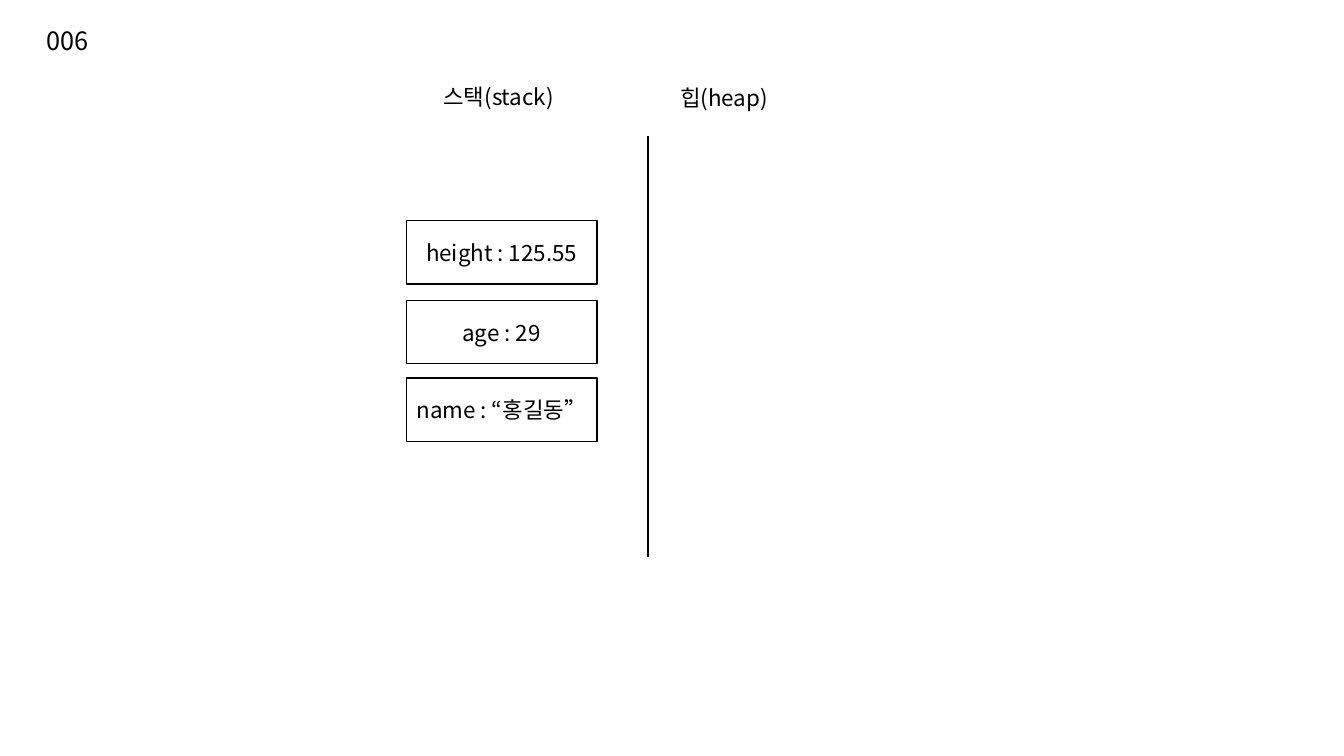
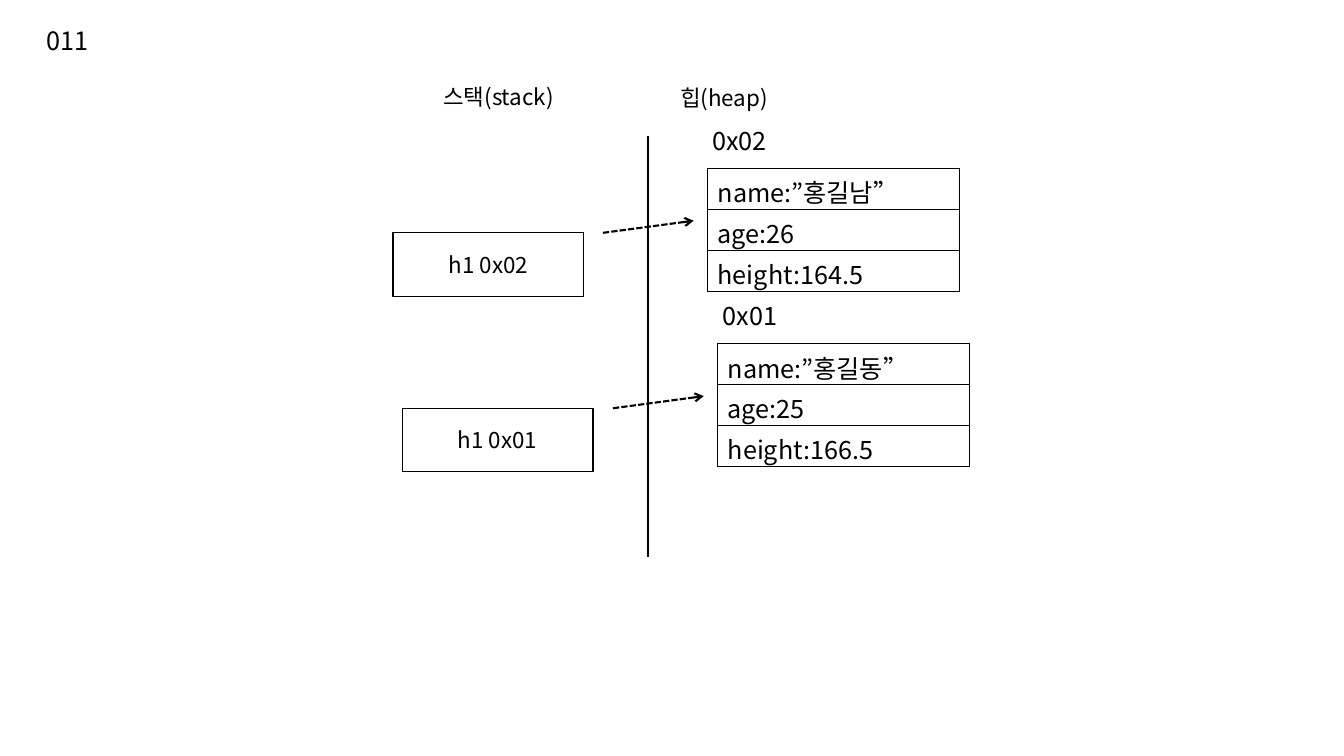
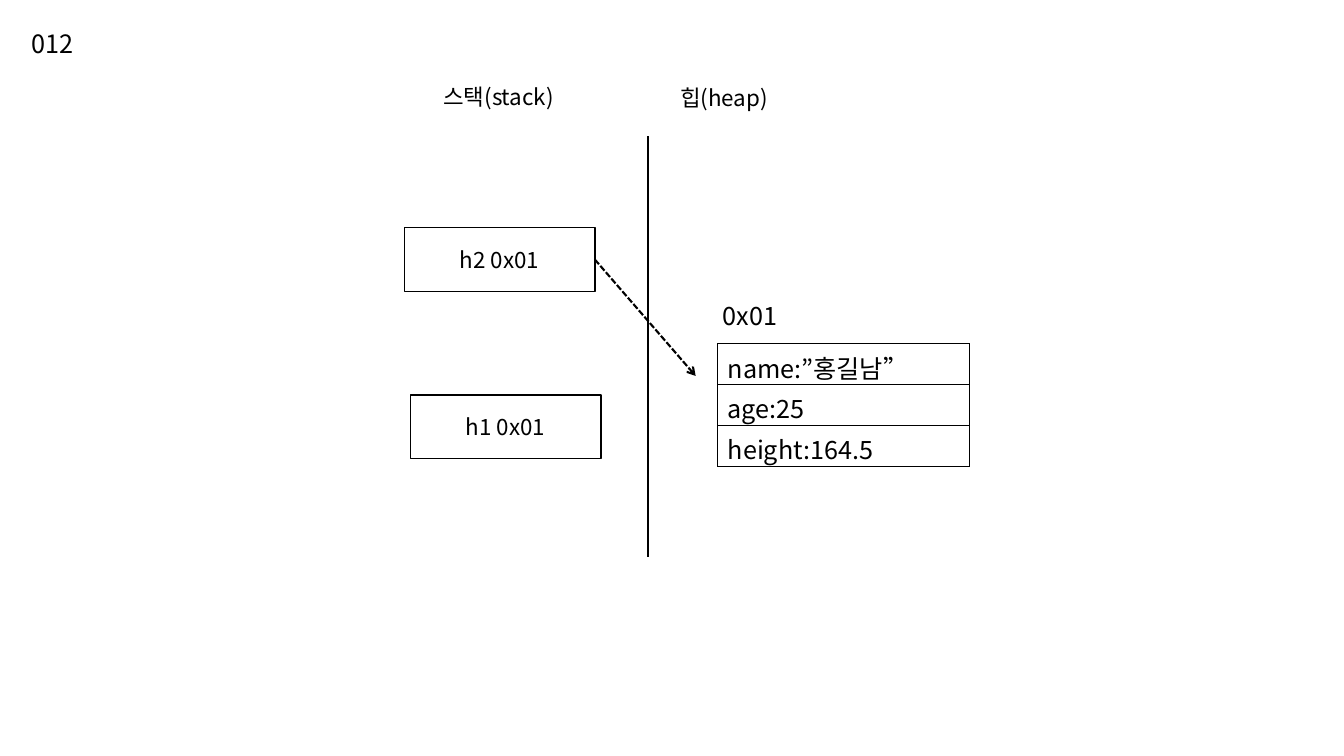
from pptx import Presentation
from pptx.dml.color import RGBColor
from pptx.enum.dml import MSO_LINE_DASH_STYLE as Dash
from pptx.enum.shapes import MSO_CONNECTOR as Connector, MSO_SHAPE as Shape
from pptx.enum.text import MSO_ANCHOR as Anchor, MSO_AUTO_SIZE as AutoSize, PP_ALIGN as Align
from pptx.oxml.ns import qn
from pptx.util import Inches, Pt
from lxml.etree import SubElement

BLACK = RGBColor(0, 0, 0)
WHITE = RGBColor(255, 255, 255)
FONT = "Noto Sans CJK KR"

deck = Presentation()
deck.slide_width, deck.slide_height = Inches(13.33), Inches(7.5)

# Grid: 100 columns by 100 rows, all lengths below are in these units
COLUMN, ROW = deck.slide_width / 100, deck.slide_height / 100
DIVIDER, DIVIDER_TOP, DIVIDER_END = 48.23, 18, 73.73
LABEL_WIDTH, LABEL_HEIGHT = 16, 5.33
BOX_WIDTH, BOX_HEIGHT = 14.18, 8.4
TABLE_WIDTH, TABLE_ROW = 18.75, 5.42
ADDRESS_LEFT, ADDRESS_RISE = 0.38, 6.4

HEADINGS = [("스택(stack)", 32.25, 10.4), ("힙(heap)", 49.88, 10.53)]

# Stack: text, left, top, arrow start, arrow tip (no start: from the box side)
# Heap: address, left, top, fields
PAGES = [
    {"number": "006", "at": (2.7, 2.67),
     "stack": [("height : 125.55", 30.23, 29.2, None, None),
               ("age : 29", 30.23, 39.73, None, None),
               ("name : “홍길동”", 30.23, 50, None, None)],
     "heap": []},
    {"number": "011", "at": (2.7, 2.67),
     "stack": [("h1 0x02", 29.25, 30.8, (44.86, 30.8), (51.61, 29.2)),
               ("h1 0x01", 29.93, 54, (45.61, 54), (52.36, 52.4))],
     "heap": [("0x02", 52.65, 22.27, ["name:”홍길남”", "age:26", "height:164.5"]),
              ("0x01", 53.4, 45.47, ["name:”홍길동”", "age:25", "height:166.5"])]},
    {"number": "012", "at": (1.58, 3.07),
     "stack": [("h2 0x01", 30.08, 30.13, None, (51.76, 49.73)),
               ("h1 0x01", 30.53, 52.27, None, None)],
     "heap": [("0x01", 53.4, 45.47, ["name:”홍길남”", "age:25", "height:164.5"])]},
]


def write(frame, text, size, align=Align.LEFT):
    frame.text = text
    frame.word_wrap = True
    para = frame.paragraphs[0]
    para.alignment = align
    span = para.runs[0]
    span.font.size = Pt(size)
    span.font.name = FONT
    span.font.color.rgb = BLACK
    SubElement(span.font._element, qn("a:ea"), typeface=FONT)


def draw_line(page, start, end, width):
    line = page.shapes.add_connector(
        Connector.STRAIGHT, round(start[0] * COLUMN), round(start[1] * ROW),
        round(end[0] * COLUMN), round(end[1] * ROW))
    line.line.color.rgb = BLACK
    line.line.width = Pt(width)
    SubElement(line._element.spPr, qn("a:effectLst"))
    return line


for content in PAGES:
    page = deck.slides.add_slide(deck.slide_layouts[5])

    # Page number as title
    title = page.shapes.title
    title.left, title.top = round(content["at"][0] * COLUMN), round(content["at"][1] * ROW)
    title.width, title.height = round(LABEL_WIDTH * COLUMN), round(LABEL_HEIGHT * ROW)
    write(title.text_frame, content["number"], 18)
    title.text_frame.vertical_anchor = Anchor.TOP
    title.text_frame.auto_size = AutoSize.NONE

    # Divider, headings and heap addresses
    draw_line(page, (DIVIDER, DIVIDER_TOP), (DIVIDER, DIVIDER_END), 1.25)
    labels = [(text, left, top, 16) for text, left, top in HEADINGS]
    labels += [(address, left - ADDRESS_LEFT, top - ADDRESS_RISE, 18)
               for address, left, top, fields in content["heap"]]
    for text, left, top, size in labels:
        label = page.shapes.add_textbox(
            round(left * COLUMN), round(top * ROW),
            round(LABEL_WIDTH * COLUMN), round(LABEL_HEIGHT * ROW))
        write(label.text_frame, text, size)

    # Stack variables and their references
    for text, left, top, start, tip in content["stack"]:
        box = page.shapes.add_shape(
            Shape.RECTANGLE, round(left * COLUMN), round(top * ROW),
            round(BOX_WIDTH * COLUMN), round(BOX_HEIGHT * ROW))
        box.shadow.inherit = False
        box.fill.solid()
        box.fill.fore_color.rgb = WHITE
        box.line.color.rgb = BLACK
        box.line.width = Pt(1)
        write(box.text_frame, text, 16, Align.CENTER)
        box.text_frame.vertical_anchor = Anchor.MIDDLE
        if tip:
            arrow = draw_line(page, start or (left + BOX_WIDTH, top + BOX_HEIGHT / 2), tip, 1.5)
            arrow.line.dash_style = Dash.SQUARE_DOT
            SubElement(arrow.line._get_or_add_ln(), qn("a:tailEnd"), type="arrow")
            if not start:
                arrow.begin_connect(box, 3)

    # Heap objects
    for address, left, top, fields in content["heap"]:
        table = page.shapes.add_table(
            len(fields), 1, round(left * COLUMN), round(top * ROW),
            round(TABLE_WIDTH * COLUMN), round(TABLE_ROW * len(fields) * ROW)).table
        table.first_row = table.horz_banding = False
        for index, field in enumerate(fields):
            cell = table.cell(index, 0)
            write(cell.text_frame, field, 18)
            properties = cell._tc.get_or_add_tcPr()
            for side in ("a:lnL", "a:lnR", "a:lnT", "a:lnB"):
                border = SubElement(properties, qn(side), w=str(Pt(1)))
                fill = SubElement(border, qn("a:solidFill"))
                SubElement(fill, qn("a:srgbClr"), val=str(BLACK))
            cell.fill.background()

deck.save("out.pptx")
